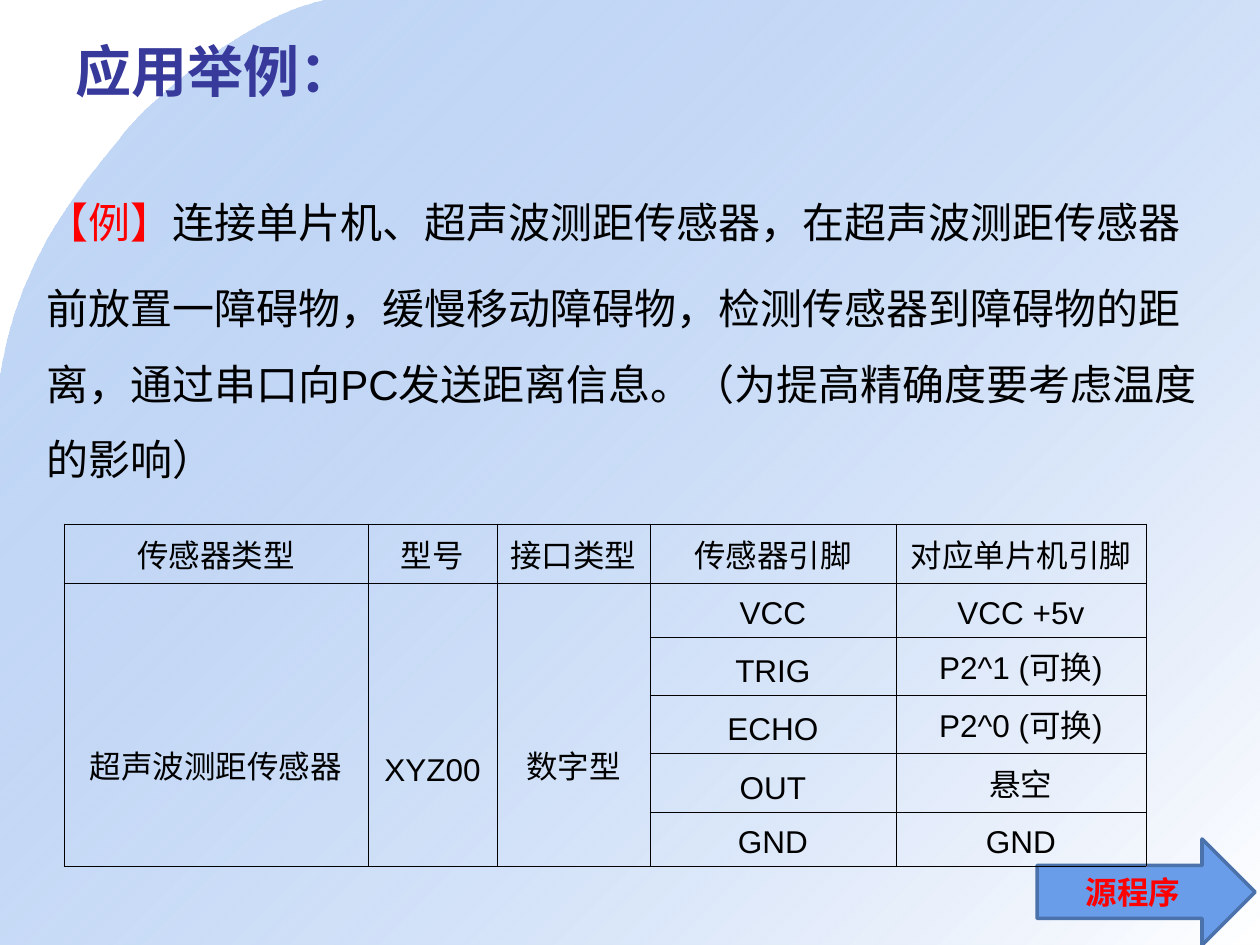
from lxml import etree
from pptx import Presentation
from pptx import util as u
from pptx.dml.color import RGBColor
from pptx.enum import shapes, text
from pptx.oxml.ns import qn

SCALE = 914400 / 126
COLORS = {
    "title": "37399B",
    "accent": "FF0000",
    "ink": "000000",
    "arrow": "699DE9",
    "arrow_line": "4B72AB",
    "white": "FFFFFF",
}
CURVES = [
    [(325, 0), (239, 20), (146, 105), (123, 135)],
    [(123, 135), (101, 166), (20, 244), (0, 379)],
]
HEADERS = ["传感器类型", "型号", "接口类型", "传感器引脚", "对应单片机引脚"]
SENSOR = ["超声波测距传感器", "XYZ00", "数字型"]
PINS = [
    ("VCC", "VCC +5v"),
    ("TRIG", "P2^1 (可换)"),
    ("ECHO", "P2^0 (可换)"),
    ("OUT", "悬空"),
    ("GND", "GND"),
]
COLUMN_WIDTHS = [304, 129, 153, 246, 250]
ROW_HEIGHTS = [59, 54, 58, 58, 59, 54]


def px(length):
    return u.Emu(round(length * SCALE))


def color(name):
    return RGBColor.from_string(COLORS[name])


def curve_points(curve, steps=24):
    for step in range(1, steps + 1):
        t = step / steps
        weights = [(1 - t) ** 3, 3 * t * (1 - t) ** 2, 3 * t * t * (1 - t), t ** 3]
        yield tuple(
            round(sum(w * point[axis] for w, point in zip(weights, curve)) * SCALE)
            for axis in (0, 1)
        )


class SlideBuilder:
    font_name = "Arial"

    def __init__(self, presentation):
        self.slide = presentation.slides.add_slide(presentation.slide_layouts[5])

    def style(self, font, size, color_name, bold=False, name=None):
        font.name = name or self.font_name
        font.size = u.Pt(size)
        font.bold = bold
        font.color.rgb = color(color_name)

    def backdrop(self, curves, width, height):
        start = curves[0][0]
        builder = self.slide.shapes.build_freeform(px(start[0]), px(start[1]))
        points = [point for curve in curves for point in curve_points(curve)]
        corners = [(0, height), (width, height), (width, 0)]
        points += [(px(x), px(y)) for x, y in corners]
        builder.add_line_segments(points, close=True)
        shape = builder.convert_to_shape()
        shape.shadow.inherit = False
        shape.line.fill.background()
        shape.fill.gradient()
        shape.fill.gradient_angle = 315
        stops = shape.fill.gradient_stops
        for stop, position, name in zip(stops, (0, 1), ("arrow", "white")):
            stop.position = position
            stop.color.rgb = color(name)
        first_color = next(shape._element.iter(qn("a:srgbClr")))
        etree.SubElement(first_color, qn("a:alpha"), val="39000")
        self.slide.shapes._spTree.insert(2, shape._element)

    def title(self, words, left, top, width, height):
        shape = self.slide.shapes.title
        shape.left, shape.top = px(left), px(top)
        shape.width, shape.height = px(width), px(height)
        frame = shape.text_frame
        frame.text = words
        frame.vertical_anchor = text.MSO_ANCHOR.MIDDLE
        paragraph = frame.paragraphs[0]
        paragraph.alignment = text.PP_ALIGN.LEFT
        self.style(paragraph.font, 32, "title", True)

    def body(self, paragraphs, left, top, width, height):
        shape = self.slide.shapes.add_textbox(px(left), px(top), px(width), px(height))
        frame = shape.text_frame
        frame.word_wrap = True
        for index, runs in enumerate(paragraphs):
            paragraph = frame.add_paragraph() if index else frame.paragraphs[0]
            paragraph.line_spacing = 1.5
            if index:
                paragraph.space_before = u.Pt(6)
            for words, color_name in runs:
                run = paragraph.add_run()
                run.text = words
                self.style(run.font, 24, color_name)

    def arrow(self, words, left, top, width, height):
        shape = self.slide.shapes.add_shape(
            shapes.MSO_SHAPE.RIGHT_ARROW, px(left), px(top), px(width), px(height))
        shape.shadow.inherit = False
        shape.fill.solid()
        shape.fill.fore_color.rgb = color("arrow")
        shape.line.color.rgb = color("arrow_line")
        shape.line.width = u.Pt(2)
        shape.text_frame.text = words
        shape.text_frame.vertical_anchor = text.MSO_ANCHOR.MIDDLE
        paragraph = shape.text_frame.paragraphs[0]
        paragraph.alignment = text.PP_ALIGN.CENTER
        self.style(paragraph.font, 18, "accent", True)

    def border(self, cell):
        properties = cell._tc.get_or_add_tcPr()
        for index, side in enumerate(("lnL", "lnR", "lnT", "lnB")):
            line = etree.Element(qn(f"a:{side}"), w=str(u.Pt(0.45)))
            fill = etree.SubElement(line, qn("a:solidFill"))
            etree.SubElement(fill, qn("a:srgbClr"), val=COLORS["ink"])
            properties.insert(index, line)

    def cell(self, cell, words, name=None, bottom=6):
        cell.margin_left = cell.margin_right = px(1)
        cell.margin_top, cell.margin_bottom = px(6), px(bottom)
        cell.vertical_anchor = text.MSO_ANCHOR.BOTTOM
        cell.text = words
        paragraph = cell.text_frame.paragraphs[0]
        paragraph.alignment = text.PP_ALIGN.CENTER
        self.style(paragraph.font, 18, "ink", name=name)

    def table(self, left, top):
        row_count = len(ROW_HEIGHTS)
        table = self.slide.shapes.add_table(
            row_count, len(HEADERS), px(left), px(top),
            px(sum(COLUMN_WIDTHS)), px(sum(ROW_HEIGHTS))).table
        table.first_row = table.horz_banding = False
        for column, width in zip(table.columns, COLUMN_WIDTHS):
            column.width = px(width)
        for row, height in zip(table.rows, ROW_HEIGHTS):
            row.height = px(height)
        for cell in table.iter_cells():
            cell.fill.background()
            self.border(cell)
        for column, words in enumerate(HEADERS):
            self.cell(table.cell(0, column), words)
        for column, words in enumerate(SENSOR):
            table.cell(1, column).merge(table.cell(row_count - 1, column))
            name = "Noto Sans CJK SC" if words == "数字型" else None
            self.cell(table.cell(1, column), words, name, bottom=78)
        for row, pair in enumerate(PINS, 1):
            for column, words in enumerate(pair, len(SENSOR)):
                self.cell(table.cell(row, column), words)


def main():
    presentation = Presentation()
    presentation.slide_width, presentation.slide_height = px(1260), px(945)
    builder = SlideBuilder(presentation)
    builder.backdrop(CURVES, 1260, 945)
    builder.title("应用举例：", 63, 31, 1134, 78)
    builder.body([
        [("【例】", "accent"),
         ("连接单片机、超声波测距传感器，在超声波测距传感器", "ink")],
        [("前放置一障碍物，缓慢移动障碍物，检测传感器到障碍物的距离，"
          "通过串口向PC发送距离信息。（为提高精确度要考虑温度的影响）", "ink")],
    ], 34, 165, 1191, 318)
    builder.arrow("源程序", 1037, 839, 218, 106)
    builder.table(64, 524)
    presentation.save("out.pptx")


if __name__ == "__main__":
    main()
